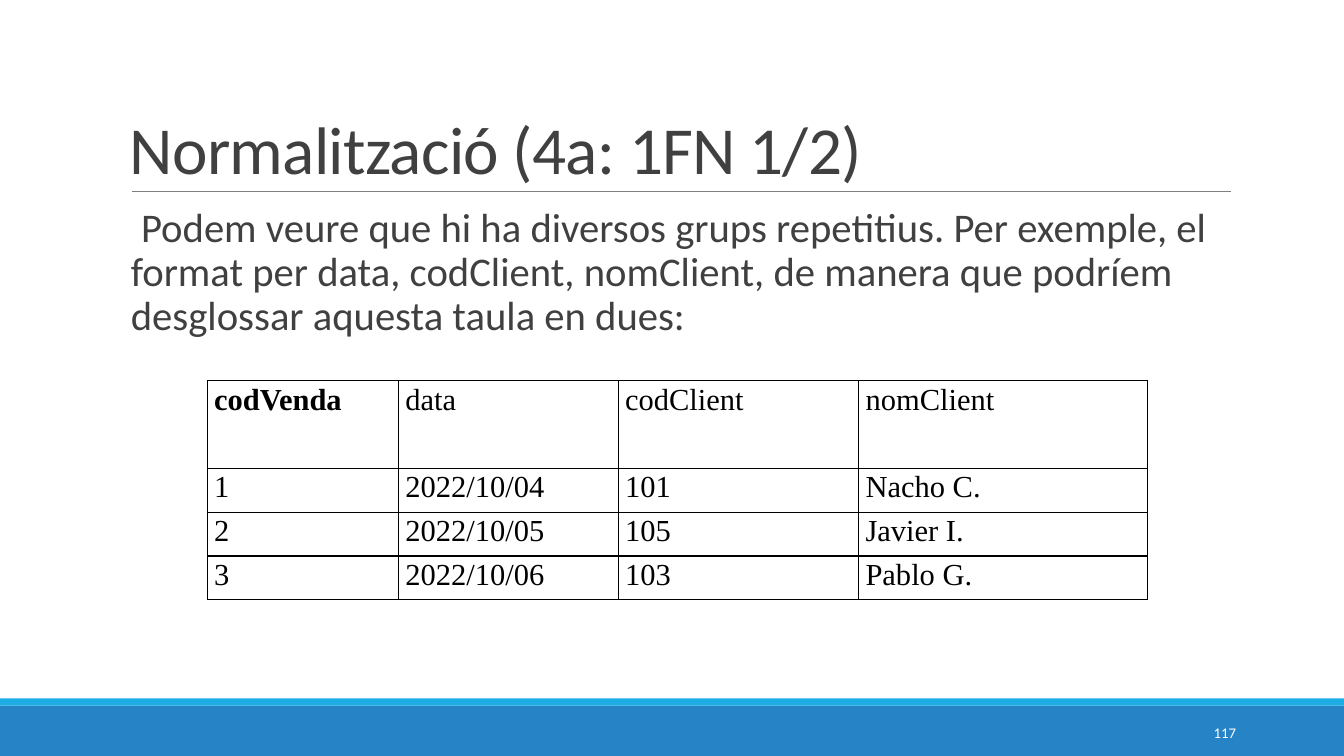
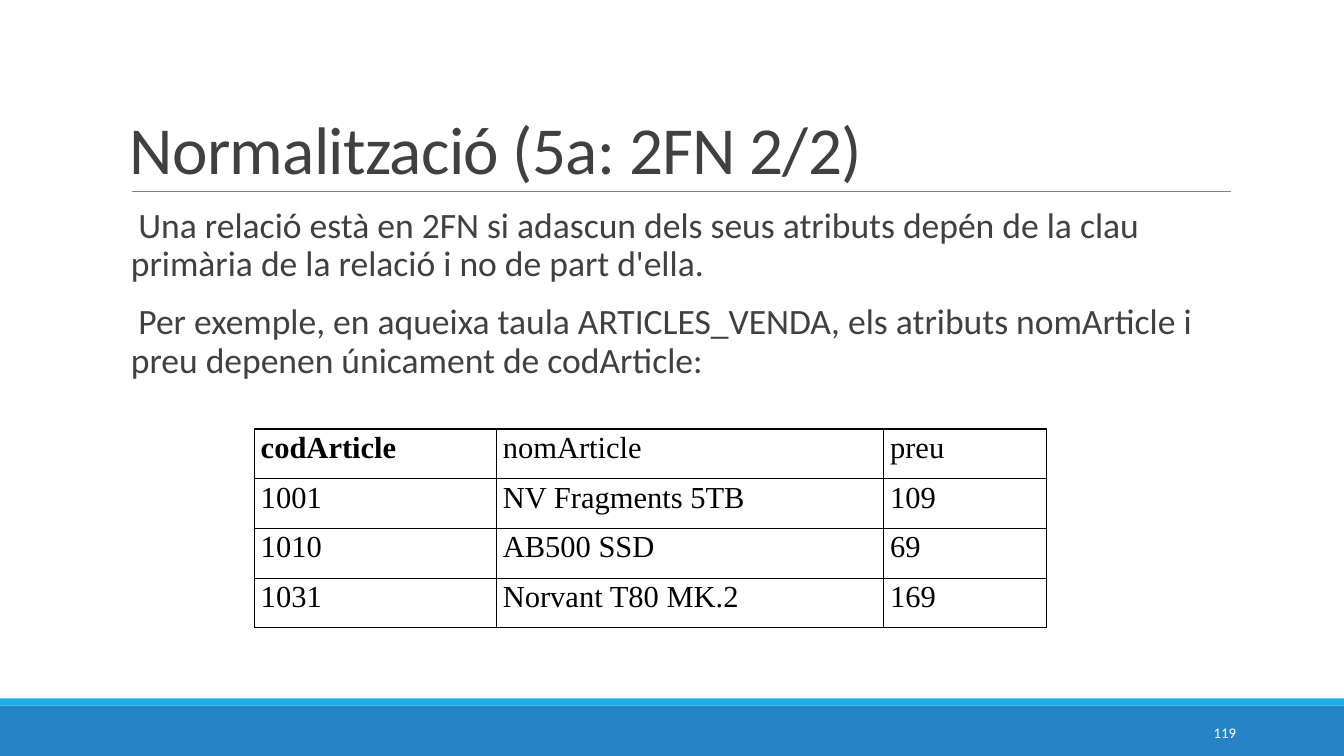
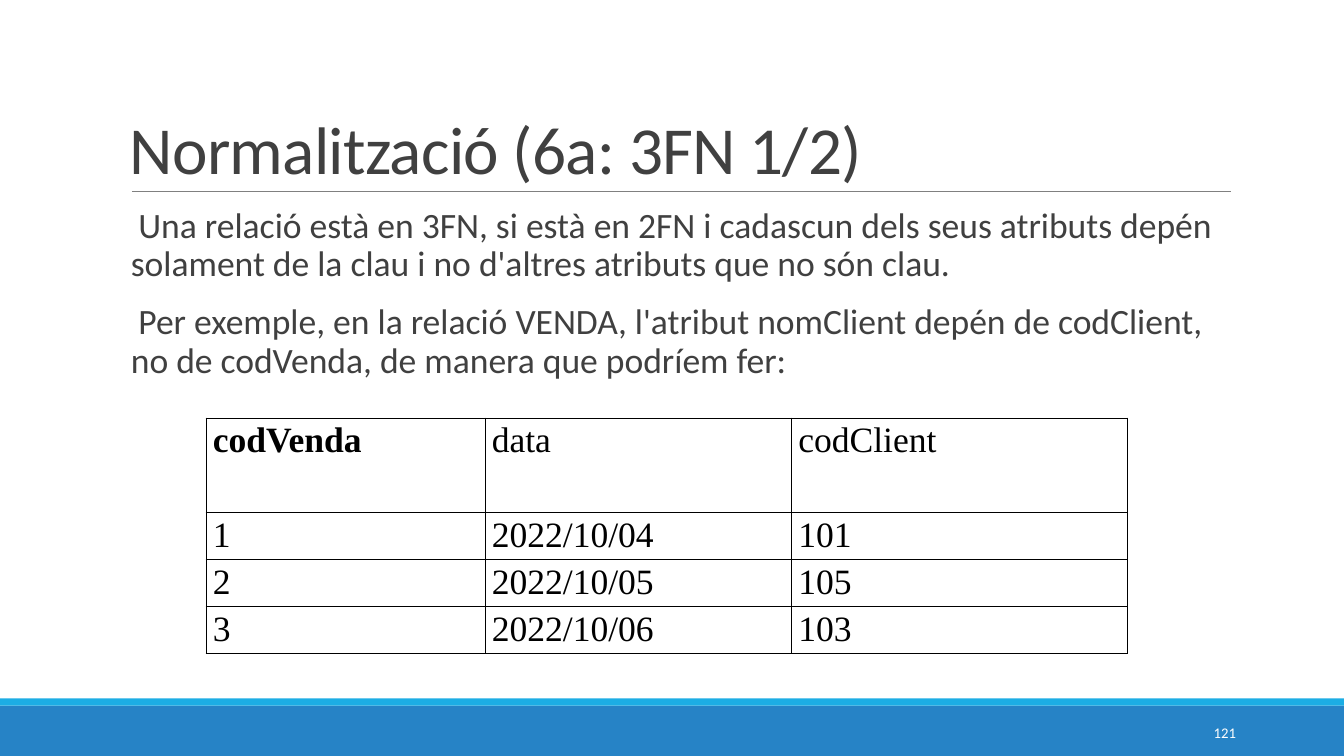
from lxml.etree import SubElement
from pptx import Presentation
from pptx.dml.color import RGBColor
from pptx.enum.shapes import MSO_CONNECTOR, MSO_SHAPE
from pptx.enum.text import MSO_ANCHOR as ANCHOR, PP_ALIGN as ALIGN
from pptx.oxml import parse_xml
from pptx.oxml.ns import nsdecls, qn
from pptx.util import Pt

SLIDE_W, SLIDE_H = 1057.7, 594.7


def rgb(hex_code):
    return RGBColor.from_string(hex_code)


class Deck:
    """Shared style and the slide being built."""
    BLUE, CYAN, RULE = "2683C6", "1CADE4", "808080"
    TEXT, WHITE, BLACK = "404040", "FFFFFF", "000000"
    SANS, SERIF = "Calibri", "Times New Roman"
    LEFT, WIDTH = 95, 872.6
    BAND_TOP, STRIPE_H = 555.1, 5.7

    def __init__(self):
        self.prs = Presentation()
        self.prs.slide_width, self.prs.slide_height = Pt(SLIDE_W), Pt(SLIDE_H)
        self.s = None

    def new_slide(self, title, number):
        self.s = self.prs.slides.add_slide(self.prs.slide_layouts[6])
        self.band(self.BAND_TOP, SLIDE_H - self.BAND_TOP, self.BLUE)
        self.band(self.BAND_TOP - self.STRIPE_H, self.STRIPE_H, self.CYAN)
        self.rule(103.7, 968.4, 150.5)
        self.title(title)
        self.number(number)

    def band(self, top, height, color):
        sp = self.s.shapes.add_shape(MSO_SHAPE.RECTANGLE, 0, Pt(top),
                                     Pt(SLIDE_W), Pt(height))
        sp.shadow.inherit = False
        sp.fill.solid()
        sp.fill.fore_color.rgb = rgb(color)
        sp.line.fill.background()

    def rule(self, left, right, y):
        line = self.s.shapes.add_connector(MSO_CONNECTOR.STRAIGHT, Pt(left), Pt(y),
                                           Pt(right), Pt(y))
        line.line.color.rgb = rgb(self.RULE)
        line.line.width = Pt(0.5)
        SubElement(line._element.spPr, qn("a:effectLst"))

    def text_box(self, left, top, width, height, anchor, margins):
        """Return the text frame of a new box; margins are (sides, top and bottom)."""
        box = self.s.shapes.add_textbox(Pt(left), Pt(top), Pt(width), Pt(height))
        tf = box.text_frame
        tf.word_wrap = True
        tf.vertical_anchor = anchor
        tf.margin_left = tf.margin_right = Pt(margins[0])
        tf.margin_top = tf.margin_bottom = Pt(margins[1])
        return tf

    def run(self, p, text, size, font, color, bold=False):
        r = p.add_run()
        r.text = text
        r.font.size, r.font.name, r.font.bold = Pt(size), font, bold
        r.font.color.rgb = rgb(color)
        return r

    def title(self, text):
        tf = self.text_box(self.LEFT, 25.2, self.WIDTH, 126, ANCHOR.BOTTOM, (7.2, 3.6))
        p = tf.paragraphs[0]
        p.line_spacing = 0.85
        r = self.run(p, text, 52.9, self.SANS, self.TEXT)
        r.font._element.set("spc", "-60")

    def number(self, number):
        tf = self.text_box(859, 560.2, 113.8, 31.7, ANCHOR.MIDDLE, (0, 0))
        p = tf.paragraphs[0]
        p.alignment = ALIGN.RIGHT
        self.run(p, str(number), 11.6, self.SANS, self.WHITE)

    def body(self, paragraphs, size):
        tf = self.text_box(self.LEFT, 159.8, self.WIDTH, 349.2, ANCHOR.TOP, (0, 3.6))
        for i, text in enumerate(paragraphs):
            p = tf.add_paragraph() if i else tf.paragraphs[0]
            p.line_spacing = 0.9
            p.space_before, p.space_after = Pt(13.2), Pt(2.2)
            self.blank_bullet(p)
            self.run(p, text, size, self.SANS, self.TEXT)

    def blank_bullet(self, p):
        pPr = p._p.get_or_add_pPr()
        pPr.set("marL", str(Pt(8)))
        pPr.set("indent", str(-Pt(8)))
        color = SubElement(pPr, qn("a:buClr"))
        SubElement(color, qn("a:srgbClr")).set("val", self.CYAN)
        SubElement(pPr, qn("a:buChar")).set("char", " ")

    def table(self, left, top, widths, row_h, rows, size=24, header_lines=1):
        """Add a ruled table whose first cell, the key column's name, is bold."""
        frame = self.s.shapes.add_table(len(rows), len(widths), Pt(left), Pt(top),
                                        Pt(sum(widths)), Pt(row_h * len(rows)))
        table = frame.table
        table.first_row = table.horz_banding = False
        for column, width in zip(table.columns, widths):
            column.width = Pt(width)
        for i, row in enumerate(rows):
            table.rows[i].height = Pt(row_h if i else row_h * header_lines)
            for j, text in enumerate(row):
                self.cell(table.cell(i, j), text, size, bold=i == j == 0)

    def cell(self, cell, text, size, bold):
        cell.fill.background()
        cell.margin_left = cell.margin_right = Pt(5.2)
        cell.margin_top = cell.margin_bottom = 0
        p = cell.text_frame.paragraphs[0]
        p.alignment = ALIGN.JUSTIFY
        p.line_spacing, p.space_after = 1.07, Pt(8)
        self.run(p, text, size, self.SERIF, self.BLACK, bold)
        tcPr = cell._tc.get_or_add_tcPr()
        for i, side in enumerate("LRTB"):
            tcPr.insert(i, parse_xml(
                f'<a:ln{side} {nsdecls("a")} w="{Pt(1)}"><a:solidFill>'
                f'<a:srgbClr val="{self.BLACK}"/></a:solidFill></a:ln{side}>'))


def main():
    deck = Deck()
    sales = [
        ("codVenda", "data", "codClient", "nomClient"),
        ("1", "2022/10/04", "101", "Nacho C."),
        ("2", "2022/10/05", "105", "Javier I."),
        ("3", "2022/10/06", "103", "Pablo G."),
    ]
    articles = [
        ("codArticle", "nomArticle", "preu"),
        ("1001", "NV Fragments 5TB", "109"),
        ("1010", "AB500 SSD", "69"),
        ("1031", "Norvant T80 MK.2", "169"),
    ]

    deck.new_slide("Normalització (4a: 1FN 1/2)", 117)
    deck.body(["Podem veure que hi ha diversos grups repetitius. Per exemple, el format "
               "per data, codClient, nomClient, de manera que podríem desglossar "
               "aquesta taula en dues:"], 32)
    deck.table(163.3, 299.4, [150.5, 173, 189.2, 227], 34.5, sales, header_lines=2)

    deck.new_slide("Normalització (5a: 2FN 2/2)", 119)
    deck.body(["Una relació està en 2FN si adascun dels seus atributs depén de la clau "
               "primària de la relació i no de part d'ella.",
               "Per exemple, en aqueixa taula ARTICLES_VENDA, els atributs nomArticle i "
               "preu depenen únicament de codArticle:"], 28)
    deck.table(200, 337.5, [190.5, 304.8, 128.2], 39.1, articles)

    deck.new_slide("Normalització (6a: 3FN 1/2)", 121)
    deck.body(["Una relació està en 3FN, si està en 2FN i cadascun dels seus atributs "
               "depén solament de la clau i no d'altres atributs que no són clau.",
               "Per exemple, en la relació VENDA, l'atribut nomClient depén de "
               "codClient, no de codVenda, de manera que podríem fer:"], 28)
    deck.table(162.3, 329, [219.6, 241.2, 264.2], 37.1, [row[:3] for row in sales],
               size=28, header_lines=2)

    deck.prs.save("out.pptx")


if __name__ == "__main__":
    main()
